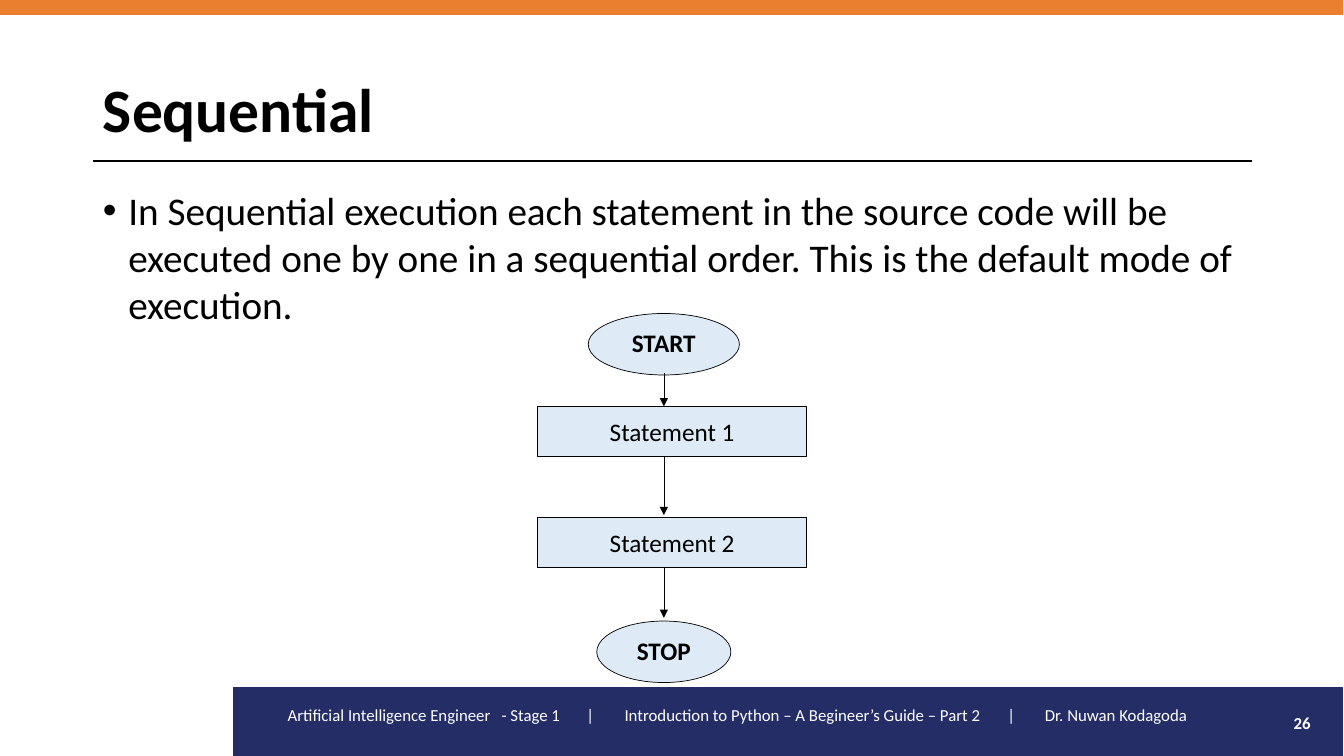
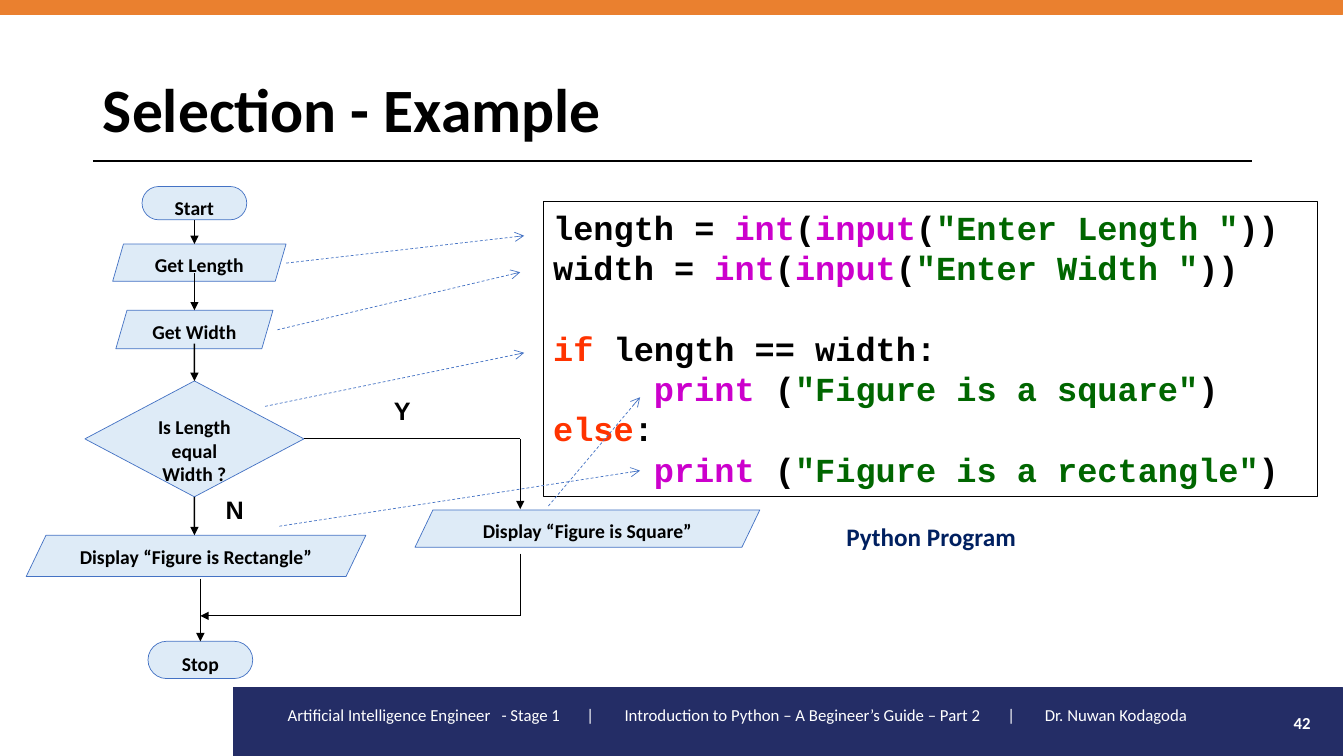
from lxml.etree import SubElement
from pptx import Presentation
from pptx.dml.color import RGBColor
from pptx.enum.dml import MSO_LINE
from pptx.enum.shapes import MSO_CONNECTOR, MSO_SHAPE as Preset
from pptx.enum.text import MSO_ANCHOR as Anchor, MSO_AUTO_SIZE as AutoSize, PP_ALIGN as Align
from pptx.oxml.ns import qn
from pptx.util import Cm, Pt

COLORS = {
    "navy": "242D66", "orange": "EA802F", "black": "000000", "white": "FFFFFF",
    "node": "DEEBF7", "blue": "4472C4", "caption": "002060",
    "call": "CC00CC", "string": "006600", "keyword": "FF3300",
}
FOOTER = "Artificial Intelligence Engineer\t- Stage 1\t|\tIntroduction to Python – A Begineer’s Guide – Part 2\t|\tDr. Nuwan Kodagoda"
FOOTER_TABS = (5.39, 7.53, 8.49, 18.14, 19.08)
CODE = [
    [("length = ", "black"), ("int", "call"), ("(", "black"), ("input", "call"),
     ("(", "black"), ('"Enter Length "', "string"), ("))", "black")],
    [("width = ", "black"), ("int", "call"), ("(", "black"), ("input", "call"),
     ("(", "black"), ('"Enter Width "', "string"), ("))", "black")],
    [],
    [("if ", "keyword"), ("length == width:", "black")],
    [("\t", "black"), ("print", "call"), (" (", "black"),
     ('"Figure is a square"', "string"), (")", "black")],
    [("else", "keyword"), (":", "black")],
    [("\t", "black"), ("print", "call"), (" (", "black"),
     ('"Figure is a rectangle"', "string"), (")", "black")],
]


def rgb(name):
    return RGBColor.from_string(COLORS[name])


# Text helpers
def write(paragraph, text, size=14, font="Calibri", color="black", bold=False, align=Align.LEFT):
    paragraph.alignment = align
    run = paragraph.add_run()
    run.text = text
    run.font.size = Pt(size)
    run.font.name = font
    run.font.bold = bold
    run.font.color.rgb = rgb(color)


def set_tabs(paragraph, stops):
    tab_list = SubElement(paragraph._p.get_or_add_pPr(), qn("a:tabLst"))
    for stop in stops:
        SubElement(tab_list, qn("a:tab"), pos=str(Cm(stop)), algn="l")


def add_label(slide, text, left, top, width, height, wrap=True, fill=None,
              anchor=Anchor.TOP, **text_format):
    label = slide.shapes.add_textbox(Cm(left), Cm(top), Cm(width), Cm(height))
    label.text_frame.word_wrap = wrap
    label.text_frame.vertical_anchor = anchor
    if fill:
        label.fill.solid()
        label.fill.fore_color.rgb = rgb(fill)
    paragraph = label.text_frame.paragraphs[0]
    write(paragraph, text, **text_format)
    return paragraph


# Shape helpers
def add_box(slide, preset, left, top, width, height, fill=None, line="black",
            line_width=0.5, adjustment=None, text="", anchor=Anchor.TOP, **text_format):
    shape = slide.shapes.add_shape(preset, Cm(left), Cm(top), Cm(width), Cm(height))
    shape.shadow.inherit = False
    if fill:
        shape.fill.solid()
        shape.fill.fore_color.rgb = rgb(fill)
    else:
        shape.fill.background()
    shape.line.color.rgb = rgb(line)
    shape.line.width = Pt(line_width)
    if adjustment is not None:
        shape.adjustments[0] = adjustment
    frame = shape.text_frame
    frame.word_wrap = True
    frame.vertical_anchor = anchor
    for index, part in enumerate(text.split("\n") if text else []):
        paragraph = frame.add_paragraph() if index else frame.paragraphs[0]
        write(paragraph, part, align=Align.CENTER, **text_format)
    return shape


def add_line(slide, x1, y1, x2, y2, color="black", width=1.0, head="triangle",
             dashed=False, begin=None, end=None):
    connector = slide.shapes.add_connector(
        MSO_CONNECTOR.STRAIGHT, Cm(x1), Cm(y1), Cm(x2), Cm(y2))
    if begin:
        connector.begin_connect(*begin)
    if end:
        connector.end_connect(*end)
    connector.line.color.rgb = rgb(color)
    connector.line.width = Pt(width)
    if dashed:
        connector.line.dash_style = MSO_LINE.DASH
    properties = connector._element.spPr
    if head:
        SubElement(properties.find(qn("a:ln")), qn("a:tailEnd"), type=head)
    SubElement(properties, qn("a:effectLst"))


# Parts shared by all slides
def add_footer(slide, number, left, top, width, height):
    add_box(slide, Preset.RECTANGLE, left, top, width, height,
            fill="navy", line="navy", line_width=1)
    paragraph = add_label(slide, FOOTER, left + 1.11, top + 0.31, width - 3.8, 1.02,
                          size=12, color="white")
    set_tabs(paragraph, FOOTER_TABS)
    add_label(slide, str(number), left + width - 2.28, top + 0.38, 1.73, 1.02,
              anchor=Anchor.MIDDLE, size=12, color="white", bold=True, align=Align.RIGHT)


def add_base_slide(presentation, layout_index, title_text, number):
    slide = presentation.slides.add_slide(presentation.slide_layouts[layout_index])
    add_footer(slide, number, 5.89, 17.32, 27.94, 1.73)
    add_line(slide, 2.34, 4.06, 31.55, 4.06, head=None)
    add_box(slide, Preset.RECTANGLE, 0, 0, 33.83, 0.36,
            fill="orange", line="orange", line_width=1)
    title = slide.shapes.title
    title.left, title.top, title.width, title.height = Cm(2.34), Cm(0.99), Cm(29.21), Cm(3.68)
    title.text_frame.vertical_anchor = Anchor.MIDDLE
    title.text_frame.auto_size = AutoSize.NONE
    paragraph = title.text_frame.paragraphs[0]
    paragraph.line_spacing = 0.9
    write(paragraph, title_text, size=44, bold=True)
    return slide


def fill_body(body, text, left, top, width, height):
    body.left, body.top, body.width, body.height = Cm(left), Cm(top), Cm(width), Cm(height)
    body.text_frame.auto_size = AutoSize.NONE
    paragraph = body.text_frame.paragraphs[0]
    paragraph.space_before = Pt(0)
    properties = paragraph._p.get_or_add_pPr()
    properties.set("marL", str(Cm(0.64)))
    properties.set("indent", str(Cm(-0.64)))
    SubElement(properties, qn("a:buFont"), typeface="Arial")
    SubElement(properties, qn("a:buChar"), char="•")
    write(paragraph, text, size=28)


# Sequential flowchart
def add_sequence_chart(slide, left, top):
    axis = left + 3.18
    for text, offset in (("Statement 1", 2.34), ("Statement 2", 5.13)):
        add_box(slide, Preset.FLOWCHART_PROCESS, left, top + offset, 6.78, 1.27,
                fill="node", text=text, size=18, anchor=Anchor.MIDDLE)
    for text, offset, width in (("START", 0, 3.81), ("STOP", 7.75, 3.38)):
        add_box(slide, Preset.OVAL, axis - width / 2, top + offset, width, 1.55,
                fill="node", text=text, size=18, bold=True)
    for start, end in ((1.5, 2.34), (3.61, 5.08), (6.4, 7.67)):
        add_line(slide, axis, top + start, axis, top + end, width=0.5)


# Selection flowchart with its links to the code
def add_selection_chart(slide, left, top):
    def node(preset, x, y, width, height, text, adjustment=None):
        return add_box(slide, preset, left + x, top + y, width, height, fill="node",
                       line="blue", adjustment=adjustment, text=text, bold=True)

    def line(x1, y1, x2, y2, **line_format):
        add_line(slide, left + x1, top + y1, left + x2, top + y2, **line_format)

    axis, stop_axis, branch = 4.24, 4.39, 12.45
    start = node(Preset.ROUNDED_RECTANGLE, 2.92, 0, 2.64, 0.84, "Start", 0.5)
    node(Preset.PARALLELOGRAM, 2.18, 1.45, 4.37, 0.94, "Get Length", 0.29)
    node(Preset.PARALLELOGRAM, 2.26, 3.12, 3.96, 0.97, "Get Width", 0.29)
    decision = node(Preset.FLOWCHART_DECISION, 1.48, 4.9, 5.52, 2.92,
                    "Is Length equal\nWidth ?")
    node(Preset.PARALLELOGRAM, 9.8, 8.15, 8.69, 0.94, "Display “Figure is Square”", 0.48)
    node(Preset.PARALLELOGRAM, 0, 8.79, 8.56, 1.04, "Display “Figure is Rectangle”", 0.48)
    stop = node(Preset.ROUNDED_RECTANGLE, 3.07, 11.46, 2.64, 0.94, "Stop", 0.5)

    # Main path
    line(axis, 0.84, axis, 1.45, begin=(start, 2))
    line(axis, 2.18, axis, 3.12)
    line(axis, 3.96, axis, 4.9, end=(decision, 0))
    line(axis, 7.82, axis, 8.79, begin=(decision, 2))
    line(stop_axis, 9.88, stop_axis, 11.46, end=(stop, 0))

    # Branch for equal sides
    line(7, 6.36, branch, 6.36, width=0.75, head=None, begin=(decision, 3))
    line(branch, 6.36, branch, 8.13)
    line(branch, 9.25, branch, 10.82, head=None)
    line(branch, 10.82, stop_axis, 10.82, width=0.75)
    for text, x, y in (("Y", 9.02, 5.13), ("N", 4.78, 7.62)):
        add_label(slide, text, left + x, top + y, 0.95, 1.02, wrap=False,
                  fill="white", size=18, font="Arial", bold=True)

    # Dashed links from steps to code lines
    for ends in ((6.55, 1.93, 12.55, 1.24), (6.33, 3.61, 12.45, 2.16),
                 (6.02, 5.54, 12.55, 4.19), (13.16, 8.05, 15.47, 5.31),
                 (6.38, 8.56, 15.47, 7.16)):
        line(*ends, color="blue", width=0.5, head="arrow", dashed=True)


# Program listing with its caption
def add_code_panel(slide, left, top, width, height):
    panel = add_box(slide, Preset.RECTANGLE, left, top, width, height, line_width=1)
    frame = panel.text_frame
    frame.auto_size = AutoSize.SHAPE_TO_FIT_TEXT
    for index, tokens in enumerate(CODE):
        paragraph = frame.add_paragraph() if index else frame.paragraphs[0]
        paragraph.alignment = Align.LEFT
        set_tabs(paragraph, [2.54])
        for text, color in tokens:
            write(paragraph, text, size=24, font="Courier New", color=color, bold=True)
        if not tokens:
            ending = SubElement(paragraph._p, qn("a:endParaRPr"), sz="2400", b="1")
            SubElement(ending, qn("a:latin"), typeface="Courier New")
    add_label(slide, "Python Program", left + 7.39, top + 7.92, 4.83, 1.02, wrap=False,
              size=18, color="caption", bold=True)


def build_sequential(presentation):
    slide = add_base_slide(presentation, 1, "Sequential", 26)
    fill_body(slide.placeholders[1],
              "In Sequential execution each statement in the source code will be executed "
              "one by one in a sequential order. This is the default mode of execution.",
              2.34, 4.57, 29.21, 12.09)
    add_sequence_chart(slide, 13.55, 7.9)


def build_selection(presentation):
    slide = add_base_slide(presentation, 5, "Selection - Example", 42)
    add_code_panel(slide, 13.69, 5.08, 19.51, 7.44)
    add_selection_chart(slide, 0.66, 4.7)


def main():
    presentation = Presentation()
    presentation.slide_width, presentation.slide_height = Cm(33.87), Cm(19.05)
    build_sequential(presentation)
    build_selection(presentation)
    presentation.save("out.pptx")


if __name__ == "__main__":
    main()
